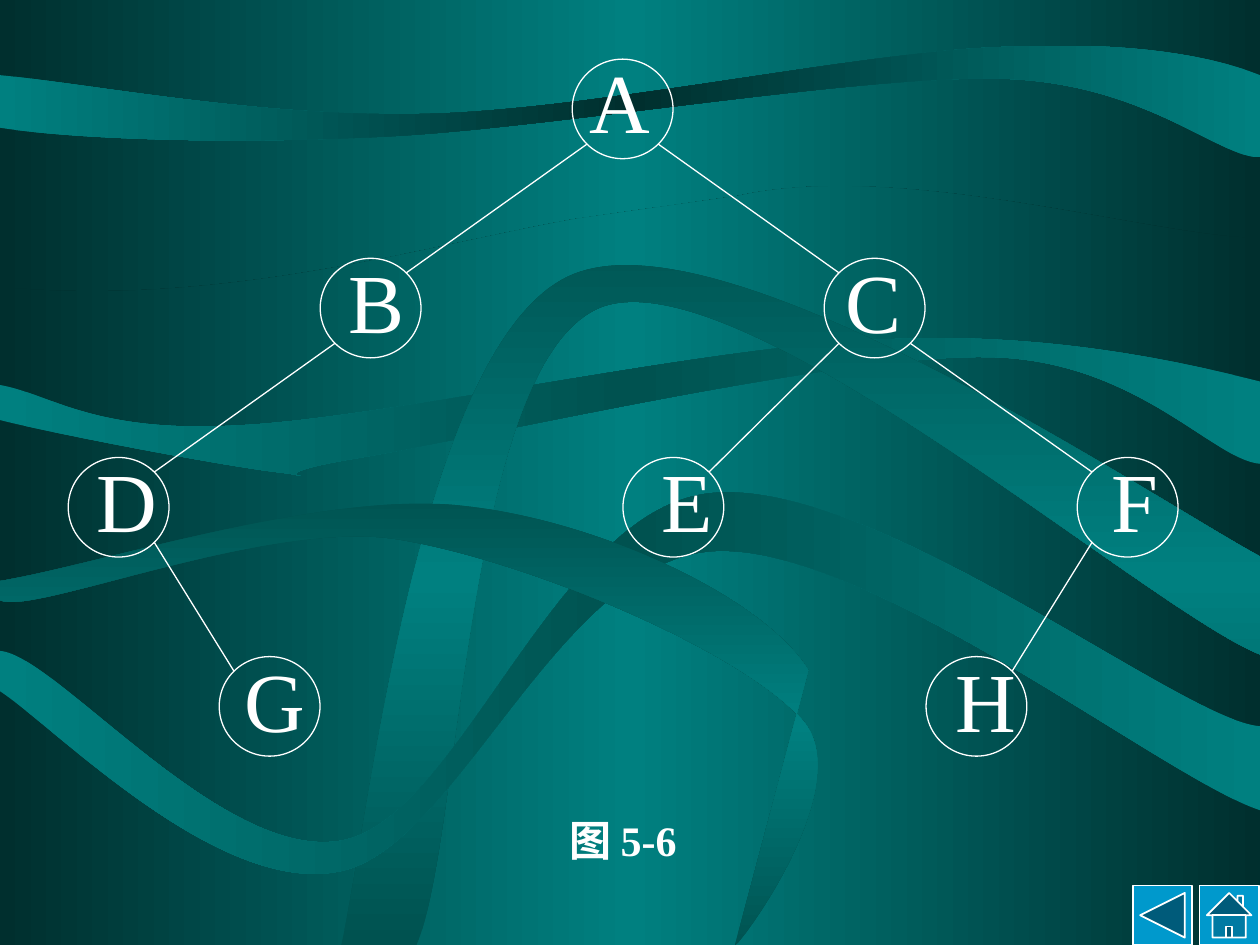
from copy import deepcopy
from dataclasses import dataclass
from math import sqrt

from lxml.etree import Element, SubElement
from pptx import Presentation
from pptx.dml.color import RGBColor
from pptx.enum.shapes import MSO_CONNECTOR, MSO_SHAPE
from pptx.enum.text import MSO_ANCHOR, MSO_AUTO_SIZE, PP_ALIGN
from pptx.oxml.ns import qn
from pptx.util import Pt


@dataclass(frozen=True)
class Theme:
    """Colours, font and type sizes of the slide."""
    deep: RGBColor = RGBColor(0x00, 0x2F, 0x2E)
    shade: RGBColor = RGBColor(0x00, 0x52, 0x50)
    teal: RGBColor = RGBColor(0x00, 0x80, 0x80)
    button: RGBColor = RGBColor(0x00, 0x99, 0xCC)
    white: RGBColor = RGBColor(0xFF, 0xFF, 0xFF)
    font: str = "Times New Roman"
    letter_size: int = 48
    caption_size: int = 24


THEME = Theme()
WIDTH, HEIGHT = 720, 540
NODE_WIDTH, NODE_HEIGHT = 57.6, 56.9
FIRST_TOP, LEVEL_STEP = 33.8, 113.8

NODES = {
    "A": (327, 0), "B": (183, 1), "C": (471, 1), "D": (39, 2),
    "E": (356, 2), "F": (615.6, 2), "G": (125.3, 3), "H": (529.2, 3),
}
EDGES = ["AB", "AC", "BD", "CE", "CF", "DG", "FH"]
LETTER_ROWS = [
    (330, 158, "A", []),
    (192, 528, "BC", [284]),
    (48, 672, "DEF", [322.7, 580]),
    (132.5, 587.5, "GH", [406.7]),
]
RIBBONS = [
    ((THEME.deep, THEME.teal), 0, [
        (0, 164), (128, 176, 245, 140, 330, 125), (330, 125, 408, 114, 422, 112),
        (516, 91, 660, 136, 720, 136), (720, 540), (0, 540)]),
    ((THEME.teal, THEME.deep), 0, [
        (0, 43), (0, 73), (37, 79, 127, 83, 222, 78), (317, 73, 489, 43, 572, 45),
        (654, 47, 696, 90, 720, 90), (720, 43), (695, 33, 649, 23, 570, 27),
        (491, 30, 343, 62, 248, 65), (153, 68, 52, 48, 0, 43)]),
    ((THEME.teal, THEME.shade), 0, [
        (0, 220), (0, 240), (27, 247, 126, 266, 160, 270), (194, 274, 137, 273, 203, 262),
        (270, 251, 475, 203, 562, 204), (648, 204, 693, 263, 720, 265), (720, 218),
        (684, 209, 602, 189, 505, 194), (408, 197, 221, 239, 137, 243),
        (53, 248, 29, 225, 0, 220)]),
    ((THEME.shade, THEME.teal), 90, [
        (195, 540), (210, 476, 239, 194, 327, 157), (414, 120, 654, 282, 720, 318),
        (720, 374), (657, 349, 426, 148, 345, 175), (265, 203, 264, 480, 238, 540)]),
    ((THEME.teal, THEME.shade), 0, [
        (0, 372), (0, 395), (32, 416, 125, 512, 194, 498), (261, 485, 319, 321, 407, 315),
        (495, 309, 667, 446, 720, 463), (720, 415), (675, 412, 498, 271, 405, 282),
        (318, 292, 264, 465, 197, 480), (129, 495, 32, 374, 0, 372)]),
    ((THEME.shade, THEME.teal), 90, [
        (0, 332), (0, 343), (19, 352, 150, 297, 226, 308), (302, 320, 426, 373, 459, 412),
        (491, 450, 419, 545, 420, 540), (462, 383), (436, 341, 341, 297, 264, 289),
        (186, 280, 55, 323, 0, 332)]),
]


def fill_gradient(fill, owner, outer, middle, angle):
    """Fill with a gradient that is the same at both ends."""
    fill.gradient()
    fill.gradient_angle = angle
    stop_list = owner.xpath(".//a:gsLst")[0]
    stop_list.append(deepcopy(stop_list[-1]))
    for stop, color, position in zip(fill.gradient_stops, (outer, middle, outer), (0, 0.5, 1)):
        stop.color.rgb = color
        stop.position = position


def add_ribbon(page, colors, angle, segments):
    """Draw a closed outline of straight (x, y) and cubic (six-number) segments."""
    start, *rest = segments
    points = [(Pt(x), Pt(y)) for segment in rest for x, y in zip(segment[::2], segment[1::2])]
    builder = page.shapes.build_freeform(Pt(start[0]), Pt(start[1]))
    builder.add_line_segments(points, close=True)
    ribbon = builder.convert_to_shape()
    steps = iter(ribbon._element.xpath(".//a:lnTo"))
    for segment in rest:
        parts = [next(steps) for _ in segment[::2]]
        if len(parts) == 3:
            curve = Element(qn("a:cubicBezTo"))
            parts[0].addprevious(curve)
            for part in parts:
                curve.append(part[0])
                part.getparent().remove(part)
    ribbon.shadow.inherit = False
    ribbon.line.fill.background()
    fill_gradient(ribbon.fill, ribbon._element, *colors, angle)


def write_text(para, text, size, bold=False, align=None, spacing=None, stops=()):
    """Write formatted text into a paragraph, with optional tab stops in points."""
    para.alignment = align
    if spacing:
        para.line_spacing = spacing
    if stops:
        tabs = SubElement(para._p.get_or_add_pPr(), qn("a:tabLst"))
        for stop in stops:
            SubElement(tabs, qn("a:tab"), pos=str(Pt(stop)), algn="l")
    span = para.add_run()
    span.text = text
    span.font.name = THEME.font
    span.font.size = Pt(size)
    span.font.bold = bold
    span.font.color.rgb = THEME.white


def add_caption(page, text):
    """Put the figure caption into the body placeholder and drop the unused title."""
    title = page.shapes.title._element
    title.getparent().remove(title)
    box = page.placeholders[1]
    box.left, box.top, box.width, box.height = Pt(318), Pt(462), Pt(90), Pt(36)
    frame = box.text_frame
    frame.auto_size = MSO_AUTO_SIZE.NONE
    frame.vertical_anchor = MSO_ANCHOR.TOP
    para = frame.paragraphs[0]
    para.space_before = Pt(0)
    write_text(para, text, THEME.caption_size, bold=True)


def add_letter_row(page, level, left, width, letters, stops):
    """Write the letters of one tree level, spaced by tab stops."""
    box = page.shapes.add_textbox(Pt(left), Pt(36 + 114 * level), Pt(width), Pt(70.6))
    box.text_frame.word_wrap = True
    write_text(box.text_frame.paragraphs[0], "\t".join(letters), THEME.letter_size,
               align=PP_ALIGN.JUSTIFY, spacing=0.8, stops=stops)


def add_outlined_shape(page, kind, left, top, width, height, weight, color=None):
    """Add a white-edged preset shape, hollow unless a colour is given."""
    shape = page.shapes.add_shape(kind, Pt(left), Pt(top), Pt(width), Pt(height))
    shape.shadow.inherit = False
    if color is None:
        shape.fill.background()
    else:
        shape.fill.solid()
        shape.fill.fore_color.rgb = color
    shape.line.color.rgb = THEME.white
    shape.line.width = Pt(weight)


def node_corner(name, across, down):
    """Return the diagonal point of a node; across and down are -1 or 1."""
    left, level = NODES[name]
    x = left + NODE_WIDTH / 2 * (1 + across / sqrt(2))
    y = FIRST_TOP + LEVEL_STEP * level + NODE_HEIGHT / 2 * (1 + down / sqrt(2))
    return Pt(x), Pt(y)


def add_edge(page, parent, child):
    """Join a parent node to the child below it."""
    side = 1 if NODES[child][0] > NODES[parent][0] else -1
    edge = page.shapes.add_connector(
        MSO_CONNECTOR.STRAIGHT, *node_corner(parent, side, 1), *node_corner(child, -side, -1))
    edge.line.color.rgb = THEME.white
    edge.line.width = Pt(0.75)
    SubElement(edge._element.spPr, qn("a:effectLst"))


def main():
    """Build the binary tree slide."""
    deck = Presentation()
    deck.slide_width, deck.slide_height = Pt(WIDTH), Pt(HEIGHT)
    page = deck.slides.add_slide(deck.slide_layouts[2])
    fill_gradient(page.background.fill, page._element, THEME.deep, THEME.teal, 0)
    for ribbon in RIBBONS:
        add_ribbon(page, *ribbon)
    add_caption(page, "图 5-6")
    page.shapes._spTree.append(page.placeholders[1]._element)
    for level, row in enumerate(LETTER_ROWS):
        add_letter_row(page, level, *row)
    for left, level in NODES.values():
        add_outlined_shape(page, MSO_SHAPE.OVAL, left, FIRST_TOP + LEVEL_STEP * level,
                           NODE_WIDTH, NODE_HEIGHT, 0.75)
    for parent, child in EDGES:
        add_edge(page, parent, child)
    for kind, left in ((MSO_SHAPE.ACTION_BUTTON_HOME, 685.4),
                       (MSO_SHAPE.ACTION_BUTTON_BACK_OR_PREVIOUS, 647.3)):
        add_outlined_shape(page, kind, left, 506, 34, 34, 1, THEME.button)
    deck.save("out.pptx")


if __name__ == "__main__":
    main()
